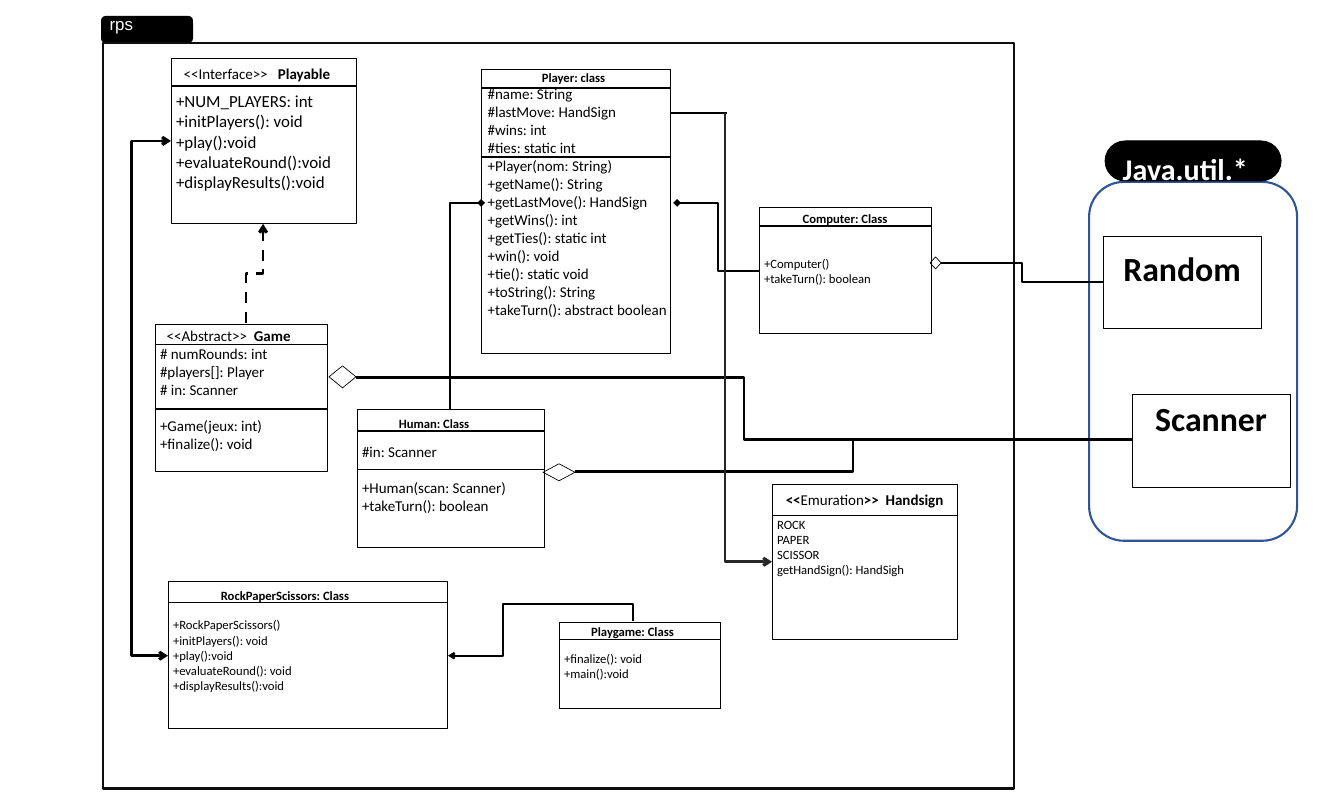
from pptx import Presentation, util as u
from pptx.dml.color import RGBColor
from pptx.enum import dml, shapes, text
from pptx.oxml.ns import qn
from lxml import etree

BLACK = RGBColor(0x00, 0x00, 0x00)
WHITE = RGBColor(0xFF, 0xFF, 0xFF)
NEAR_BLACK = RGBColor(0x0D, 0x0D, 0x0D)
CHARCOAL = RGBColor(0x26, 0x26, 0x26)
BLUE = RGBColor(0x2F, 0x55, 0x97)

PX = 914400 / 67.6
RECT = shapes.MSO_SHAPE.RECTANGLE
ROUND = shapes.MSO_SHAPE.ROUNDED_RECTANGLE
DIAMOND = shapes.MSO_SHAPE.DIAMOND
LINE_HEIGHT = 1.22
LEFT, CENTER = text.PP_ALIGN.LEFT, text.PP_ALIGN.CENTER


def emu(*lengths):
    return [u.Emu(round(n * PX)) for n in lengths]


class Diagram:
    def __init__(self, s, font="Calibri", color=BLACK):
        self.s, self.font, self.color = s, font, color

    def shape(self, kind, box, fill=None, line=BLACK, width=0.75, adj=None):
        sp = self.s.shapes.add_shape(kind, *emu(*box))
        sp.shadow.inherit = False
        if adj is not None:
            sp.adjustments[0] = adj
        if fill is None:
            sp.fill.background()
        else:
            sp.fill.solid()
            sp.fill.fore_color.rgb = fill
        if line is None:
            sp.line.fill.background()
        else:
            sp.line.color.rgb = line
            sp.line.width = u.Pt(width)
        return sp

    def add_lines(self, tf, lines, size, align=LEFT, color=None, font=None):
        """A line is a list of (text, bold, extra spacing) runs; None leaves a gap."""
        tf.word_wrap = True
        p, gap = tf.paragraphs[0], 0
        for i, line in enumerate(lines):
            if line is None:
                gap = size * LINE_HEIGHT
                continue
            p = tf.add_paragraph() if i else p
            p.alignment = align
            p.space_before, gap = u.Pt(gap), 0
            for words, is_bold, spacing in line:
                r = p.add_run()
                r.text = words
                r.font.name = font or self.font
                r.font.size = u.Pt(size)
                r.font.bold = is_bold
                r.font.color.rgb = color or self.color
                if spacing:
                    r._r.get_or_add_rPr().set("spc", str(spacing))

    def label(self, box, lines, size, **style):
        tf = self.s.shapes.add_textbox(*emu(*box)).text_frame
        self.add_lines(tf, lines, size, **style)

    def uml_class(self, box, head, head_box, head_size, dividers, body=(),
                  size=13.5, head_align=CENTER, fill=WHITE, lift=0):
        """Class box with body text, dividers at given heights and a heading."""
        tf = self.shape(RECT, box, fill, width=1).text_frame
        tf.vertical_anchor = text.MSO_ANCHOR.MIDDLE
        tf.margin_left, tf.margin_right, tf.margin_top, tf.margin_bottom = emu(5, 5, 3, 3 + lift)
        self.add_lines(tf, plain(body), size)
        left, _, width, _ = box
        for y, weight in dividers:
            self.route([(left, y), (left + width, y)], weight)
        self.label(head_box, [head], head_size, align=head_align)

    def route(self, points, width, color=BLACK, head=None, tail=None, dash=None):
        """Connector through the points, straight or with right-angled bends."""
        (x1, y1), (x2, y2) = points[0], points[-1]
        bent = len(points) > 2
        upright = bent and x1 == points[1][0]
        if upright:  # lay the path flat, then turn it a quarter
            cx, cy = (x1 + x2) / 2, (y1 + y2) / 2
            points = [(cx + y - cy, cy - x + cx) for x, y in points]
        kind = shapes.MSO_CONNECTOR.ELBOW if bent else shapes.MSO_CONNECTOR.STRAIGHT
        start, end = points[0], points[-1]
        cxn = self.s.shapes.add_connector(kind, *emu(*start, *end))
        cxn.line.color.rgb = color
        cxn.line.width = u.Pt(width)
        if dash:
            cxn.line.dash_style = dash
        spPr = cxn._element.spPr
        if bent:
            geom = spPr.find(qn("a:prstGeom"))
            geom.set("prst", f"bentConnector{len(points) - 1}")
            for k, bend in enumerate(points[1:-2]):
                axis = k % 2
                share = (bend[axis] - start[axis]) / (end[axis] - start[axis])
                etree.SubElement(geom.find(qn("a:avLst")), qn("a:gd"), name=f"adj{k + 1}",
                                 fmla=f"val {round(share * 100000)}")
        if upright:
            spPr.find(qn("a:xfrm")).set("rot", "5400000")
        for tag, tip in (("a:headEnd", head), ("a:tailEnd", tail)):
            if tip:
                etree.SubElement(spPr.find(qn("a:ln")), qn(tag), type=tip)
        etree.SubElement(spPr, qn("a:effectLst"))


def plain(lines):
    return [line and [(line, False, 0)] for line in lines]


def bold(words):
    return [(words, True, 0)]


prs = Presentation()
prs.slide_width, prs.slide_height = u.Inches(19.88), u.Inches(11.81)
d = Diagram(prs.slides.add_slide(prs.slide_layouts[6]))

# Package rps
d.shape(ROUND, (101, 16, 92, 27), BLACK, None)
d.shape(RECT, (103, 43, 911, 746), line=NEAR_BLACK, width=3)
d.label((103, 10, 89, 27), plain(["rps"]), 18, color=WHITE, font="Arial")

# Classes of the package
d.uml_class((171, 59, 185, 165),
            [("<<Interface>>", False, 0), (" ", False, 720), ("Playable", True, 0)],
            (177, 61, 174, 25), 16, [(86, 1.5)],
            ["+NUM_PLAYERS: int", "+initPlayers(): void", "+play():void",
             "+evaluateRound():void", "+displayResults():void"],
            18, LEFT, None)
d.uml_class((155, 325, 172, 147),
            [("<<Abstract>>", False, 0), (" ", False, 360), ("Game", True, 0)],
            (160, 323, 172, 25), 16, [(345, 1), (409, 1.5)],
            ["# numRounds: int", "#players[]: Player", "# in: Scanner", None,
             "+Game(jeux: int)", "+finalize(): void"], 16, LEFT)
d.uml_class((357, 410, 187, 138), bold("Human: Class"), (356, 413, 156, 22), 13.5,
            [(431, 1.5), (470, 1.5)],
            ["#in: Scanner", None, "+Human(scan: Scanner)", "+takeTurn(): boolean"], 16)
d.uml_class((168, 582, 279, 147), bold("RockPaperScissors: Class"), (177, 585, 216, 22), 13.5,
            [(603, 1.5)],
            ["+RockPaperScissors()", "+initPlayers(): void", "+play():void",
             "+evaluateRound(): void", "+displayResults():void"])
d.uml_class((559, 623, 161, 86), bold("Playgame: Class"), (559, 621, 147, 22), 13.5,
            [(640, 1.5)], ["+finalize(): void", "+main():void"])
d.uml_class((772, 485, 185, 155),
            [("<<", True, 0), ("Emuration", False, 0), (">>", True, 0),
             (" ", True, 360), ("Handsign", True, 0)],
            (772, 487, 185, 25), 16, [(516, 1.5)],
            ["ROCK", "PAPER", "SCISSOR", "getHandSign(): HandSigh"], lift=31)
d.uml_class((759, 208, 172, 126), bold("Computer: Class"), (759, 208, 172, 22), 13.5,
            [(226, 1.5)], ["+Computer()", "+takeTurn(): boolean"])
d.uml_class((481, 70, 189, 284), bold("Player: class"), (481, 67, 185, 22), 13.5,
            [(88, 1.5), (157, 1.5)], fill=None)
d.label((481, 81, 196, 243), plain([
    "#name: String", "#lastMove: HandSign", "#wins: int", "#ties: static int",
    "+Player(nom: String)", "+getName(): String", "+getLastMove(): HandSign",
    "+getWins(): int", "+getTies(): static int", "+win(): void", "+tie(): static void",
    "+toString(): String", "+takeTurn(): abstract boolean"]), 16)

# Library package
d.shape(ROUND, (1089, 182, 208, 359), line=BLUE, width=2.25)
d.shape(ROUND, (1105, 141, 176, 40), BLACK, width=1, adj=0.5)
d.label((1116, 147, 145, 43), [bold("Java.util.*")], 32, color=WHITE)
for name, x, y, drop in (("Random", 1103, 236, 9), ("Scanner", 1132, 395, 0)):
    d.shape(RECT, (x, y, 158, 93))
    d.label((x, y + drop, 158, 48), [bold(name)], 36, align=CENTER)

# Aggregation diamonds of Human, Computer and Game
for box in ((543, 464, 32, 17), (930, 257, 11, 12), (329, 366, 27, 22)):
    d.shape(DIAMOND, box)

# Relations
d.route([(246, 323), (246, 274), (263, 274), (263, 224)], 3, tail="arrow",
        dash=dml.MSO_LINE.DASH)
d.route([(450, 410), (450, 203), (481, 203)], 2.75, tail="diamond")
d.route([(759, 271), (718, 271), (718, 203), (677, 203)], 2.75, tail="diamond")
d.route([(633, 621), (633, 604), (503, 604), (503, 656), (448, 656)], 2.25, tail="arrow")
d.route([(941, 263), (1022, 263), (1022, 282), (1103, 282)], 1.75)
d.route([(575, 472), (853, 472), (853, 440), (1132, 440)], 2.75)
d.route([(171, 141), (132, 141), (132, 656), (168, 656)], 3, head="arrow", tail="arrow")
d.route([(1132, 440), (744, 440), (744, 378), (356, 378)], 2.75)
d.route([(670, 113), (727, 113)], 3)
d.route([(725, 113), (725, 562), (772, 562)], 3, CHARCOAL, tail="arrow")

prs.save("out.pptx")
